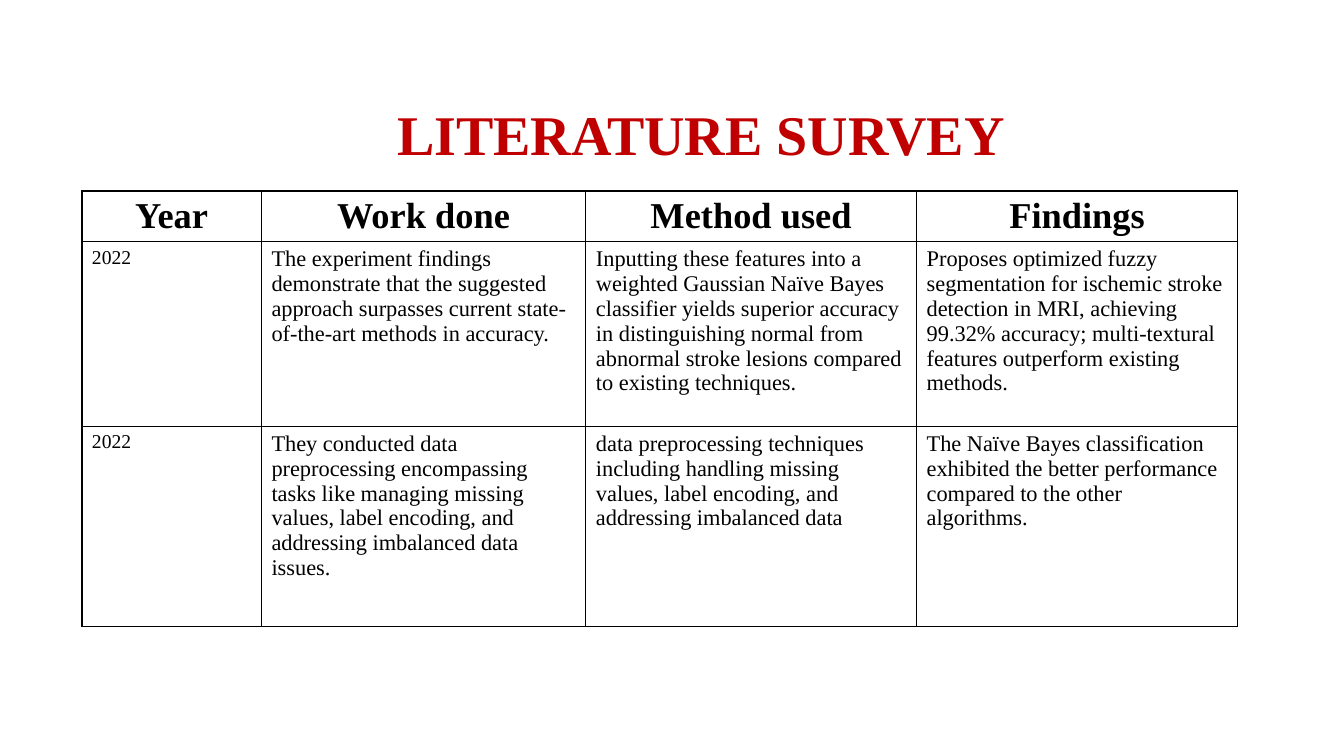
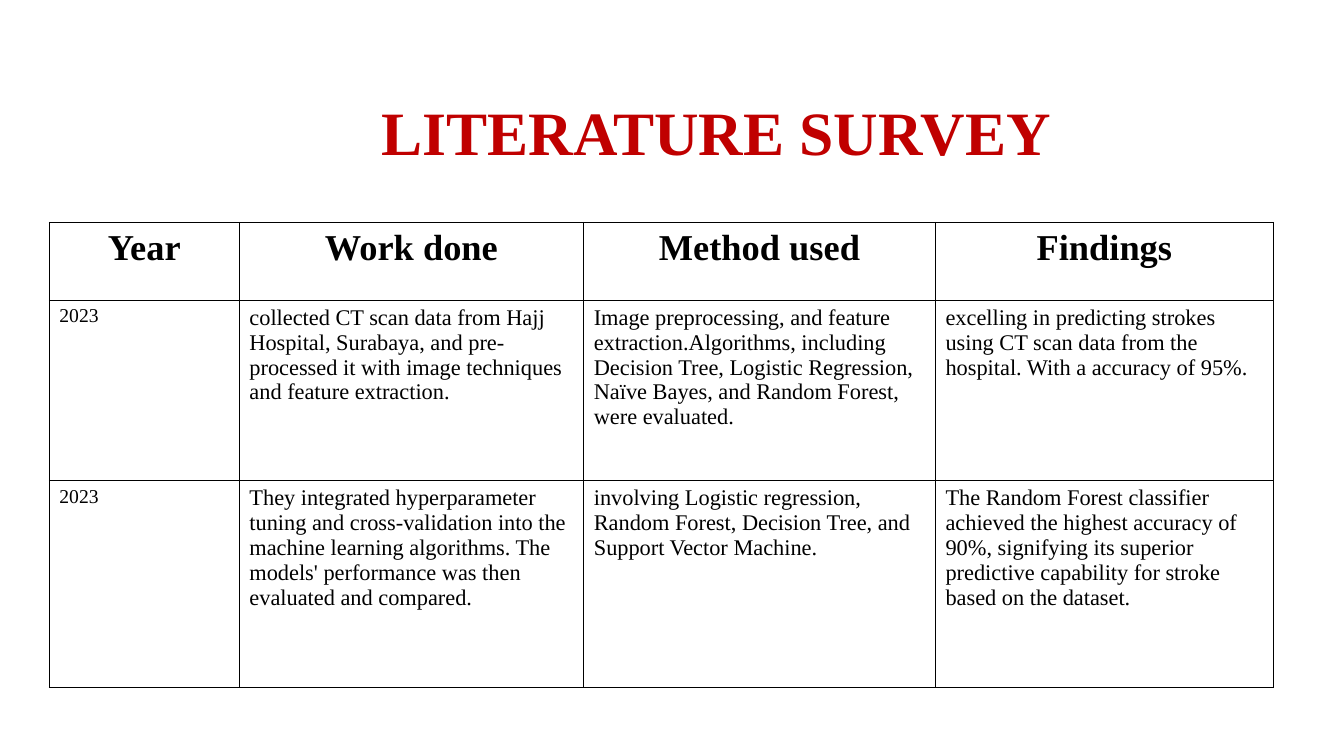
from dataclasses import dataclass

from lxml.etree import SubElement
from pptx import Presentation
from pptx.dml.color import RGBColor
from pptx.enum.text import MSO_ANCHOR as Anchor, MSO_AUTO_SIZE as AutoSize, PP_ALIGN as Align
from pptx.oxml.ns import qn
from pptx.util import Pt

PX = 9525
FONT = "Times New Roman"
COLORS = {"title": "C00000", "ink": "000000", "paper": "FFFFFF"}
HEADINGS = ("Year", "Work done", "Method used", "Findings")
YEAR_SIZE, BODY_SIZE, HEADING_SIZE = 14, 16, 26


@dataclass(frozen=True)
class Survey:
    """One survey page: its title setting, table grid and studies."""

    title_top: int
    title_inset: int
    title_size: int
    left: int
    top: int
    columns: tuple[int, ...]
    rows: tuple[int, ...]
    studies: tuple[tuple[str, ...], ...]


SURVEYS = (
    Survey(
        title_top=41, title_inset=65, title_size=40, left=78, top=182,
        columns=(171, 309, 315, 306), rows=(48, 176, 191),
        studies=(
            (
                "2022",
                "The experiment findings demonstrate that the suggested approach "
                "surpasses current state-of-the-art methods in accuracy.",
                "Inputting these features into a weighted Gaussian Naïve Bayes classifier "
                "yields superior accuracy in distinguishing normal from abnormal stroke "
                "lesions compared to existing techniques.",
                "Proposes optimized fuzzy segmentation for ischemic stroke detection in MRI, "
                "achieving 99.32% accuracy; multi-textural features outperform existing methods.",
            ),
            (
                "2022",
                "They conducted data preprocessing encompassing tasks like managing missing "
                "values, label encoding, and addressing imbalanced data issues.",
                "data preprocessing techniques including handling missing values, "
                "label encoding, and addressing imbalanced data",
                "The Naïve Bayes classification exhibited the better performance "
                "compared to the other algorithms.",
            ),
        ),
    ),
    Survey(
        title_top=38, title_inset=95, title_size=44, left=47, top=212,
        columns=(181, 328, 335, 322), rows=(74, 172, 197),
        studies=(
            (
                "2023",
                "collected CT scan data from Hajj Hospital, Surabaya, and pre-processed it "
                "with image techniques and feature extraction.",
                "Image preprocessing, and feature extraction.Algorithms, including Decision "
                "Tree, Logistic Regression, Naïve Bayes, and Random Forest, were evaluated.",
                "excelling in predicting strokes using CT scan data from the hospital. "
                "With a accuracy of 95%.",
            ),
            (
                "2023",
                "They integrated hyperparameter tuning and cross-validation into the machine "
                "learning algorithms. The models' performance was then evaluated and compared.",
                "involving Logistic regression, Random Forest, Decision Tree, "
                "and Support Vector Machine.",
                "The Random Forest classifier achieved the highest accuracy of 90%, signifying "
                "its superior predictive capability for stroke based on the dataset.",
            ),
        ),
    ),
)


def write_text(frame, text: str, *, size: int, color: str = "ink", bold: bool = False,
               align: Align = Align.LEFT, spacing: float = 1.0) -> None:
    """Write one formatted paragraph into a text frame."""
    para = frame.paragraphs[0]
    para.alignment = align
    para.line_spacing = spacing
    span = para.add_run()
    span.text = text
    span.font.name = FONT
    span.font.size = Pt(size)
    span.font.bold = bold
    span.font.color.rgb = RGBColor.from_string(COLORS[color])


def frame_cell(cell) -> None:
    """Give a cell thin borders and a plain fill."""
    properties = cell._tc.get_or_add_tcPr()
    for side in ("a:lnL", "a:lnR", "a:lnT", "a:lnB"):
        line = SubElement(properties, qn(side), w=str(Pt(1)))
        fill = SubElement(line, qn("a:solidFill"))
        SubElement(fill, qn("a:srgbClr"), val=COLORS["ink"])
    cell.fill.solid()
    cell.fill.fore_color.rgb = RGBColor.from_string(COLORS["paper"])


def add_title(page, survey: Survey) -> None:
    """Place and format the page title."""
    box = page.shapes.title
    box.left, box.top = 88 * PX, survey.title_top * PX
    box.width, box.height = 1104 * PX, 139 * PX
    frame = box.text_frame
    frame.auto_size = AutoSize.NONE
    frame.vertical_anchor = Anchor.MIDDLE
    frame.margin_left = survey.title_inset * PX
    write_text(frame, "LITERATURE SURVEY", size=survey.title_size, color="title",
               bold=True, align=Align.CENTER, spacing=1.5)


def add_survey_table(page, survey: Survey) -> None:
    """Draw the table of studies."""
    table = page.shapes.add_table(
        len(survey.rows), len(survey.columns), survey.left * PX, survey.top * PX,
        sum(survey.columns) * PX, sum(survey.rows) * PX).table
    table.horz_banding = False
    for column, width in zip(table.columns, survey.columns):
        column.width = width * PX
    for row, height, texts in zip(table.rows, survey.rows, (HEADINGS, *survey.studies)):
        row.height = height * PX
        for index, (cell, text) in enumerate(zip(row.cells, texts)):
            frame_cell(cell)
            if texts is HEADINGS:
                write_text(cell.text_frame, text, size=HEADING_SIZE, bold=True, align=Align.CENTER)
            else:
                write_text(cell.text_frame, text, size=BODY_SIZE if index else YEAR_SIZE)


def main() -> None:
    """Build and save the deck."""
    deck = Presentation()
    deck.slide_width, deck.slide_height = 1280 * PX, 720 * PX
    for survey in SURVEYS:
        page = deck.slides.add_slide(deck.slide_layouts.get_by_name("Title Only"))
        add_title(page, survey)
        add_survey_table(page, survey)
    deck.save("out.pptx")


if __name__ == "__main__":
    main()
